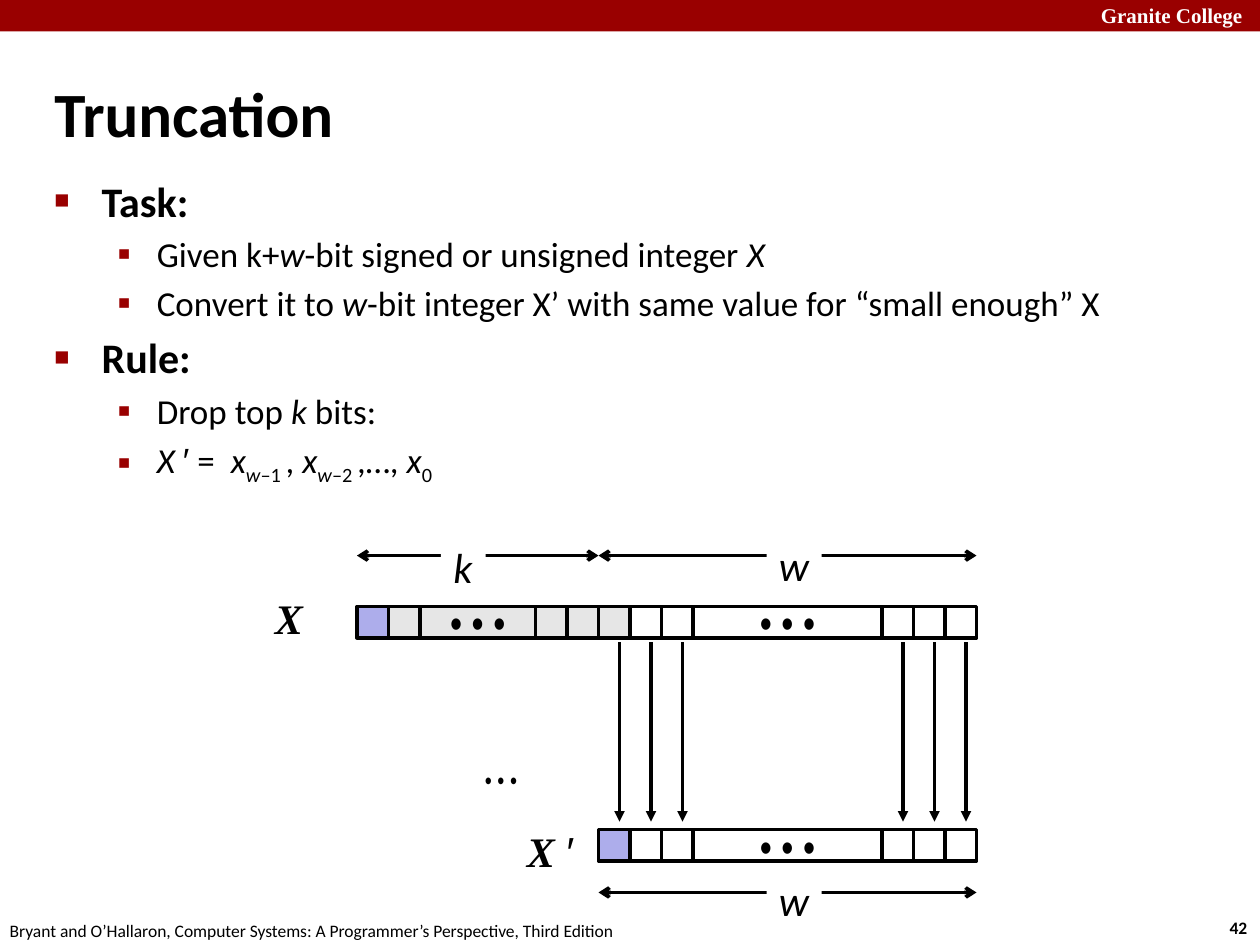
import pptx
import pptx.chart.data
import pptx.dml.color
import pptx.enum.shapes
import pptx.enum.text
import pptx.oxml
import pptx.oxml.ns
import pptx.util
from lxml import etree

Pt = pptx.util.Pt
COLORS = {"black": "000000", "white": "FFFFFF", "red": "990000",
          "sign": "ADADEB", "dropped": "E6E6E6"}
DOTS = "• • •"
CELL = 18


class Slide:
    """Hold the shared style and the page being drawn."""

    def __init__(self, page, font="Calibri", line_width=2):
        self.page = page
        self.font = font
        self.line_width = line_width

    def rgb(self, name):
        return pptx.dml.color.RGBColor.from_string(COLORS[name])

    def child(self, parent, tag, **attributes):
        return etree.SubElement(parent, pptx.oxml.ns.qn(tag), attributes)

    def spans(self, para, parts, size, color="black", bold=False):
        for text, flags in parts:
            span = para.add_run()
            span.text = text
            font = span.font
            font.size = Pt(size)
            font.color.rgb = self.rgb(color)
            font.bold = bold or "b" in flags
            font.italic = "i" in flags
            font.name = self.font
            if "a" in flags:
                font.name = "Arial"
            if "n" in flags:
                font.name = "Arial Narrow"
            if "t" in flags:
                font.name = "Times New Roman"
            if "s" in flags:
                font._element.set("baseline", "-25000")

    def text(self, place, parts, size, color="black", fill=None, bold=False):
        box = self.page.shapes.add_textbox(*map(Pt, place))
        frame = box.text_frame
        frame.word_wrap = False
        frame.auto_size = pptx.enum.text.MSO_AUTO_SIZE.SHAPE_TO_FIT_TEXT
        if fill:
            box.fill.solid()
            box.fill.fore_color.rgb = self.rgb(fill)
        self.spans(frame.paragraphs[0], parts, size, color, bold)
        return box

    def title(self, place, text):
        box = self.text(place, [(text, "")], 36, bold=True)
        box.text_frame.auto_size = pptx.enum.text.MSO_AUTO_SIZE.NONE
        box.text_frame.word_wrap = True
        box.text_frame.vertical_anchor = pptx.enum.text.MSO_ANCHOR.MIDDLE

    def outline(self, place, items):
        frame = self.page.shapes.add_textbox(*map(Pt, place)).text_frame
        frame.word_wrap = True
        levels = [(24, 27, 27, "■", "60000"), (20, 58.5, 22.5, "▪", "110000")]
        for index, (level, parts) in enumerate(items):
            para = frame.add_paragraph() if index else frame.paragraphs[0]
            size, margin, hang, mark, scale = levels[level]
            para.level = level
            para.space_before = Pt(size * 0.2)
            self.spans(para, parts, size, bold=level == 0)
            props = para._p.get_or_add_pPr()
            props.set("marL", str(Pt(margin)))
            props.set("indent", str(-Pt(hang)))
            tint = self.child(props, "a:buClr")
            self.child(tint, "a:srgbClr", val=COLORS["red"])
            self.child(props, "a:buSzPct", val=scale)
            self.child(props, "a:buFont", typeface="Arial")
            self.child(props, "a:buChar", char=mark)

    def rect(self, place, fill, outlined=True, label=None):
        kind = pptx.enum.shapes.MSO_SHAPE.RECTANGLE
        box = self.page.shapes.add_shape(kind, *map(Pt, place))
        box.shadow.inherit = False
        box.fill.solid()
        box.fill.fore_color.rgb = self.rgb(fill)
        if outlined:
            box.line.color.rgb = self.rgb("black")
            box.line.width = Pt(self.line_width)
        else:
            box.line.fill.background()
        if label:
            frame = box.text_frame
            frame.word_wrap = False
            frame.vertical_anchor = pptx.enum.text.MSO_ANCHOR.MIDDLE
            para = frame.paragraphs[0]
            para.alignment = pptx.enum.text.PP_ALIGN.CENTER
            self.spans(para, [(label, "n")], 24)

    def arrow(self, start, end, head=None, tail="triangle"):
        kind = pptx.enum.shapes.MSO_CONNECTOR.STRAIGHT
        link = self.page.shapes.add_connector(kind, *map(Pt, start + end))
        link.line.color.rgb = self.rgb("black")
        link.line.width = Pt(self.line_width)
        stroke = link.line._get_or_add_ln()
        if head:
            self.child(stroke, "a:headEnd", type=head)
        self.child(stroke, "a:tailEnd", type=tail)
        self.child(link._element.spPr, "a:effectLst")

    def bits(self, left, top, cells):
        for width, fill in cells:
            label = DOTS if width > CELL else None
            self.rect((left, top, width, CELL), fill, label=label)
            left += width

    def span_mark(self, left, right, y, label, place):
        self.arrow((left, y), (right, y), head="arrow", tail="arrow")
        self.text(place, [(label, "i")], 24, fill="white")


def main():
    deck = pptx.Presentation()
    deck.slide_width, deck.slide_height = Pt(720), Pt(540)
    slide = Slide(deck.slides.add_slide(deck.slide_layouts[6]))

    slide.rect((0, 0, 720, 18), "red", outlined=False)
    slide.text((622, -2, 103, 21.6), [("Granite College", "bt")], 12, "white")
    slide.text((695.5, 520.5, 26.5, 19.4), [("42", "b")], 10)
    slide.text((-1.5, 522, 366, 19.4), [(
        "Bryant and O’Hallaron, Computer Systems: "
        "A Programmer’s Perspective, Third Edition", "")], 10)
    slide.title((24, 42, 481, 44), "Truncation")
    slide.outline((24, 96.5, 653, 186), [
        (0, [("Task:", "")]),
        (1, [("Given k+", ""), ("w", "i"),
             ("-bit signed or unsigned integer ", ""), ("X", "i")]),
        (1, [("Convert it to ", ""), ("w", "i"),
             ("-bit integer X’ with same value for “small enough” X", "")]),
        (0, [("Rule:", "")]),
        (1, [("Drop top ", ""), ("k", "i"), (" bits:", "")]),
        (1, [("X ", "i"), ("′", "a"), (" =  ", ""),
             ("x", "i"), ("w", "is"), ("–1 ", "s"), (", ", ""),
             ("x", "i"), ("w", "is"), ("–2 ", "s"), (",…, ", ""),
             ("x", "i"), ("0", "s")]),
    ])

    left, middle, right = 204, 342, 558
    for first in (354, 516):
        for step in range(3):
            x = first + step * CELL
            slide.arrow((x, 367), (x, 469.5))
    slide.text((270, 433.5, 56, 24), [(DOTS, "n")], 14)

    kept = [(CELL, "white")] * 2 + [(108, "white")] + [(CELL, "white")] * 3
    dropped = [(CELL, "sign"), (CELL, "dropped"), (66, "dropped")]
    dropped += [(CELL, "dropped")] * 3
    slide.bits(middle, 474, [(CELL, "sign")] + kept)
    slide.text((294, 468, 49, 36), [("X", "bit"), (" ′", "a")], 24)
    slide.span_mark(middle, right, 510, "w", (438, 496, 31.5, 36.5))
    slide.text((150, 335, 31, 36), [("X", "bit")], 24)
    slide.bits(left, 346.5, dropped + kept)
    slide.span_mark(middle, right, 317.5, "w", (438, 304.5, 31.5, 36.5))
    slide.span_mark(left, middle, 317.5, "k", (252, 306, 25.5, 36.5))

    deck.save("out.pptx")


if __name__ == "__main__":
    main()
